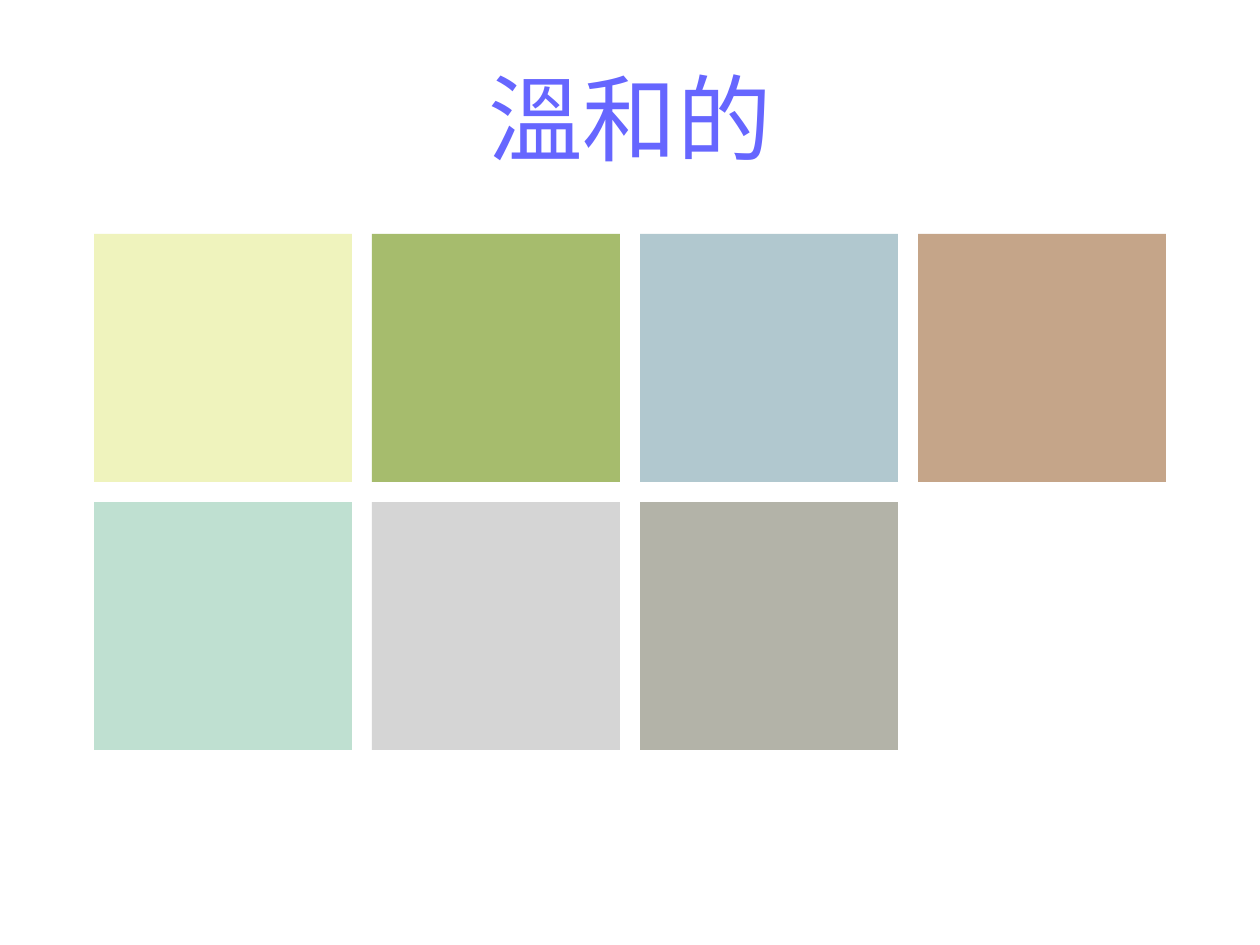
"""Build a slide showing a mild colour palette as a grid of swatches."""
import itertools

import pptx
import pptx.dml.color
import pptx.enum.shapes
import pptx.enum.text
import pptx.util

RGBColor = pptx.dml.color.RGBColor

EMU_PER_PX = 914400 / 126
SLIDE_SIZE = (1260, 945)

TITLE_COLOR = RGBColor(0x66, 0x66, 0xFF)
CREAM = RGBColor(0xEF, 0xF3, 0xBD)
GREEN = RGBColor(0xA6, 0xBC, 0x6D)
BLUE = RGBColor(0xB1, 0xC8, 0xCF)
TAN = RGBColor(0xC5, 0xA5, 0x89)
MINT = RGBColor(0xBF, 0xE0, 0xD1)
SILVER = RGBColor(0xD5, 0xD5, 0xD5)
STONE = RGBColor(0xB3, 0xB3, 0xA8)

PALETTE = [[CREAM, GREEN, BLUE, TAN], [MINT, SILVER, STONE]]
GRID_LEFT, GRID_TOP = 94, 234
COLUMN_WIDTHS = [258, 248, 258, 248]
SWATCH_HEIGHT = 248
GAP = 20


def px(length):
    """Turn whole pixels into EMU."""
    return pptx.util.Emu(round(length * EMU_PER_PX))


def add_title(page, text, left, top, width, height):
    """Add the centred title."""
    box = page.shapes.add_textbox(px(left), px(top), px(width), px(height))
    frame = box.text_frame
    frame.word_wrap = True
    frame.vertical_anchor = pptx.enum.text.MSO_ANCHOR.MIDDLE
    para = frame.paragraphs[0]
    para.alignment = pptx.enum.text.PP_ALIGN.CENTER
    span = para.add_run()
    span.text = text
    span.font.name = "Arial"
    span.font.size = pptx.util.Pt(54)
    span.font.color.rgb = TITLE_COLOR


def add_swatch(page, color, left, top, width, height):
    """Add one plain rectangle of colour."""
    swatch = page.shapes.add_shape(
        pptx.enum.shapes.MSO_SHAPE.RECTANGLE,
        px(left), px(top), px(width), px(height))
    swatch.shadow.inherit = False
    swatch.fill.solid()
    swatch.fill.fore_color.rgb = color
    swatch.line.fill.background()


def add_palette(page):
    """Lay out the swatches row by row with equal gaps."""
    steps = [width + GAP for width in COLUMN_WIDTHS]
    lefts = list(itertools.accumulate(steps[:-1], initial=GRID_LEFT))
    for row, colors in enumerate(PALETTE):
        top = GRID_TOP + row * (SWATCH_HEIGHT + GAP)
        for color, left, width in zip(colors, lefts, COLUMN_WIDTHS):
            add_swatch(page, color, left, top, width, SWATCH_HEIGHT)


def main():
    """Create the deck and save it."""
    deck = pptx.Presentation()
    deck.slide_width, deck.slide_height = map(px, SLIDE_SIZE)
    page = deck.slides.add_slide(deck.slide_layouts[6])
    add_title(page, "溫和的", 63, 38, 1134, 158)
    add_palette(page)
    deck.save("out.pptx")


if __name__ == "__main__":
    main()
